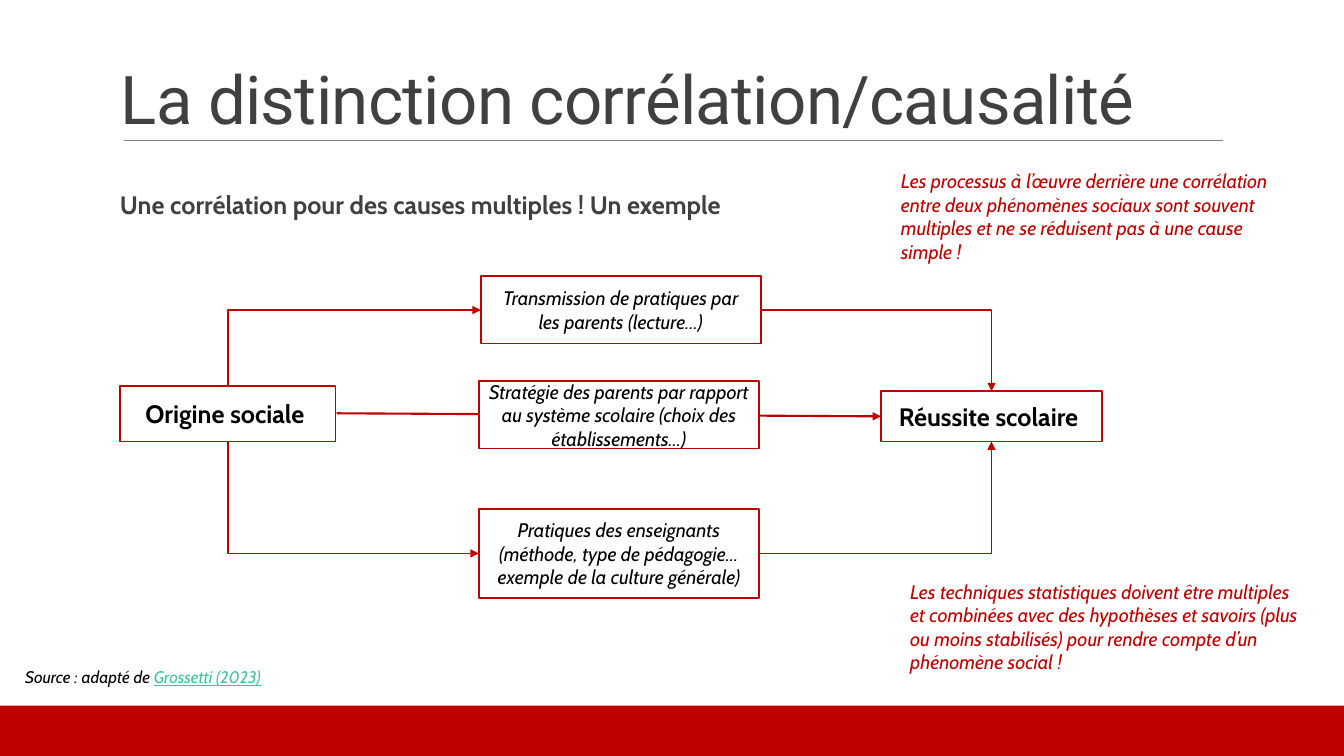
import pptx
import pptx.util
import pptx.dml.color
import pptx.enum.shapes
import pptx.enum.text
import pptx.oxml.ns
import pptx.oxml.xmlchemy

Pt = pptx.util.Pt
RGBColor = pptx.dml.color.RGBColor
Shape = pptx.enum.shapes.MSO_SHAPE
Connector = pptx.enum.shapes.MSO_CONNECTOR
Align = pptx.enum.text.PP_ALIGN
Anchor = pptx.enum.text.MSO_ANCHOR
AutoSize = pptx.enum.text.MSO_AUTO_SIZE
qn = pptx.oxml.ns.qn
OxmlElement = pptx.oxml.xmlchemy.OxmlElement

RED = RGBColor(0xC0, 0x00, 0x00)
BLACK = RGBColor(0x00, 0x00, 0x00)
WHITE = RGBColor(0xFF, 0xFF, 0xFF)
DARK = RGBColor(0x40, 0x40, 0x40)
GREY = RGBColor(0x80, 0x80, 0x80)
TEAL = RGBColor(0x44, 0xC1, 0xA3)


def write(box, text, size=14, font="Cabin", color=BLACK, bold=False, italic=False,
          underline=False, align=Align.LEFT, anchor=Anchor.TOP):
    """Append a formatted run to the first paragraph of the box."""
    frame = box.text_frame
    frame.word_wrap = True
    frame.auto_size = AutoSize.NONE
    frame.vertical_anchor = anchor
    para = frame.paragraphs[0]
    para.alignment = align
    span = para.add_run()
    span.text = text
    span.font.size = Pt(size)
    span.font.name = font
    span.font.color.rgb = color
    span.font.bold = bold
    span.font.italic = italic
    span.font.underline = underline
    return para


def connect(kind, start, end, color=RED, width=1, arrow=None):
    """Draw a connector; arrow is "headEnd" (at start) or "tailEnd" (at end)."""
    line = page.shapes.add_connector(kind, *map(Pt, start + end))
    line.line.color.rgb = color
    line.line.width = Pt(width)
    properties = line.element.spPr
    if kind == Connector.ELBOW:
        properties.find(qn("a:prstGeom")).set("prst", "bentConnector2")
    if arrow:
        tip = OxmlElement(f"a:{arrow}")
        tip.set("type", "triangle")
        properties.find(qn("a:ln")).append(tip)
    properties.append(OxmlElement("a:effectLst"))


deck = pptx.Presentation()
deck.slide_width = Pt(960)
deck.slide_height = Pt(540)
page = deck.slides.add_slide(deck.slide_layouts[1])

# Footer band and title rule
band = page.shapes.add_shape(Shape.RECTANGLE, Pt(0), Pt(504), Pt(960), Pt(36))
band.shadow.inherit = False
band.fill.solid()
band.fill.fore_color.rgb = RED
band.line.fill.background()
connect(Connector.STRAIGHT, (88.6, 100.1), (873.4, 100.1), color=GREY, width=0.5)

# Title
title = page.shapes.title
title.left, title.top, title.width, title.height = map(Pt, (79.2, 34.6, 792, 67.7))
para = write(title, "La distinction corrélation/causalité", size=48, font="Roboto",
             color=DARK, anchor=Anchor.BOTTOM)
para.line_spacing = 0.85
para.runs[0]._r.get_or_add_rPr().set("spc", "-50")

# Subtitle in the body placeholder
body = page.placeholders[1]
body.left, body.top, body.width, body.height = map(Pt, (85.7, 133.9, 792, 316.8))
body.text_frame.margin_left = body.text_frame.margin_right = 0
para = write(body, "Une corrélation pour des causes multiples ! Un exemple", size=18,
             color=DARK, bold=True)
para.line_spacing = 0.9
para.space_before = Pt(12)
para.space_after = Pt(2)
bullet = para._p.get_or_add_pPr()
bullet.set("marL", "0")
bullet.set("indent", "0")
bullet.append(OxmlElement("a:buNone"))

# Direct link, passing behind the middle box
connect(Connector.STRAIGHT, (240.5, 295.2), (629.3, 297.4), width=1.5, arrow="tailEnd")

# Cause, mechanisms and outcome
ends = {"size": 18, "bold": True}
middle = {"size": 14, "italic": True}
boxes = [
    ("Origine sociale ", (85.7, 275.8, 154.1, 39.6), ends),
    ("Réussite scolaire ", (629.3, 279.4, 157.7, 36), ends),
    ("Transmission de pratiques par les parents (lecture…)",
     (343.4, 197.3, 200.2, 48.2), middle),
    ("Stratégie des parents par rapport au système scolaire (choix des établissements…)",
     (342, 272.2, 200.2, 48.2), middle),
    ("Pratiques des enseignants (méthode, type de pédagogie… exemple de la culture générale)",
     (342, 363.6, 200.2, 63.4), middle),
]
for text, place, style in boxes:
    box = page.shapes.add_shape(Shape.RECTANGLE, *map(Pt, place))
    box.shadow.inherit = False
    box.fill.solid()
    box.fill.fore_color.rgb = WHITE
    box.line.color.rgb = RED
    box.line.width = Pt(1.25)
    write(box, text, align=Align.CENTER, anchor=Anchor.MIDDLE, **style)

# Elbows leave each outer mechanism sideways, then turn to cause and outcome
for left, right, height, cause_edge, outcome_edge in [
    (343.4, 543.6, 221.5, 275.8, 279.4),
    (342, 542.2, 395.3, 315.4, 315.4),
]:
    connect(Connector.ELBOW, (left, height), (162.8, cause_edge), arrow="headEnd")
    connect(Connector.ELBOW, (right, height), (708.2, outcome_edge), arrow="tailEnd")

# Comments and source
remarks = [
    ((636.5, 117.4, 297.4, 74.9), [
        ("Les processus à l’œuvre derrière une corrélation entre deux phénomènes sociaux "
         "sont souvent multiples et ne se réduisent pas à une cause simple !",
         {"color": RED})]),
    ((643, 410.4, 292.3, 74.9), [
        ("Les techniques statistiques doivent être multiples et combinées avec des "
         "hypothèses et savoirs (plus ou moins stabilisés) pour rendre compte d’un "
         "phénomène social !", {"color": RED})]),
    ((10.8, 473, 322.6, 21.6), [
        ("Source : adapté de ", {"size": 12}),
        ("Grossetti (2023)", {"size": 12, "color": TEAL, "underline": True})]),
]
for place, spans in remarks:
    box = page.shapes.add_textbox(*map(Pt, place))
    for text, style in spans:
        write(box, text, italic=True, **style)

deck.save("out.pptx")
